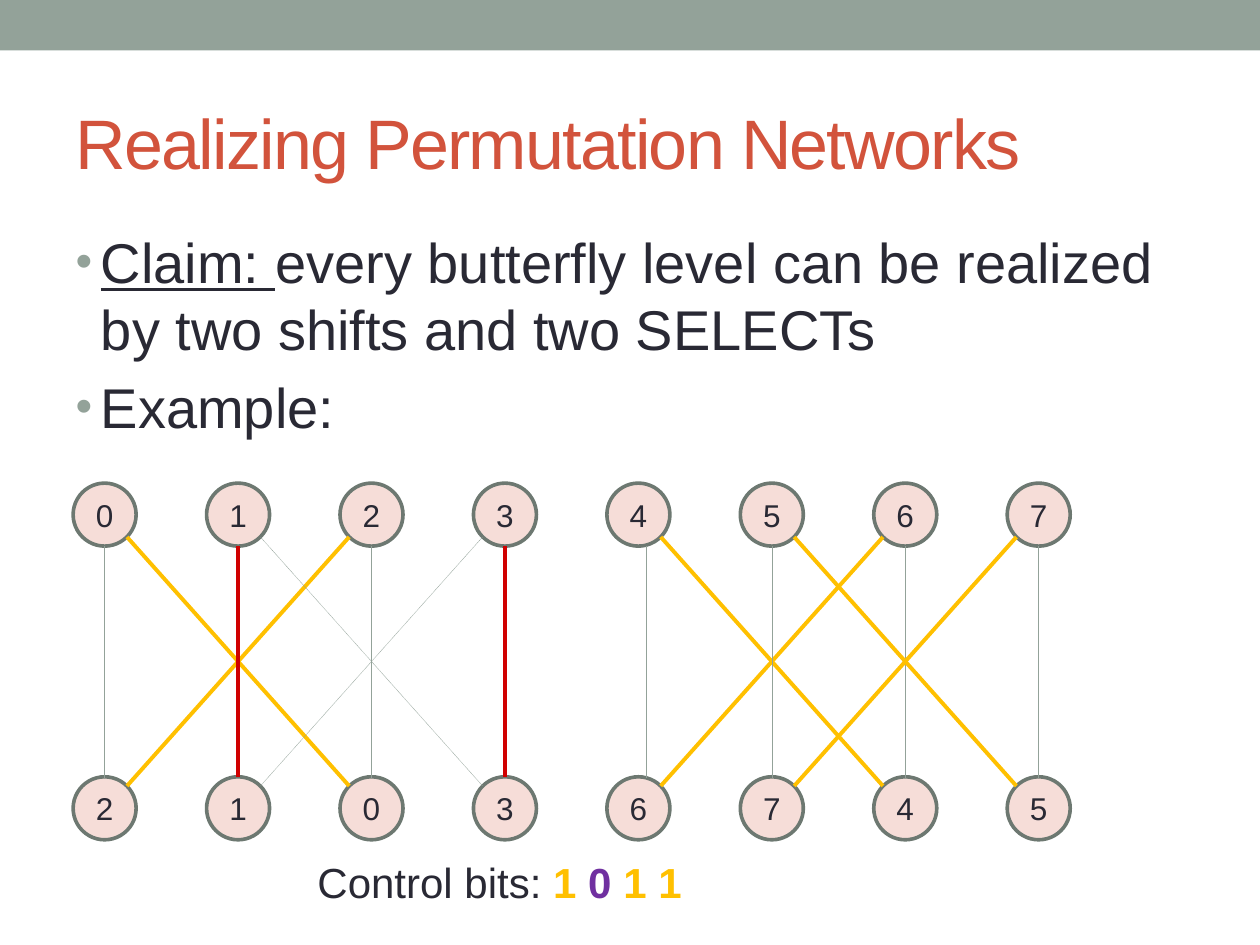
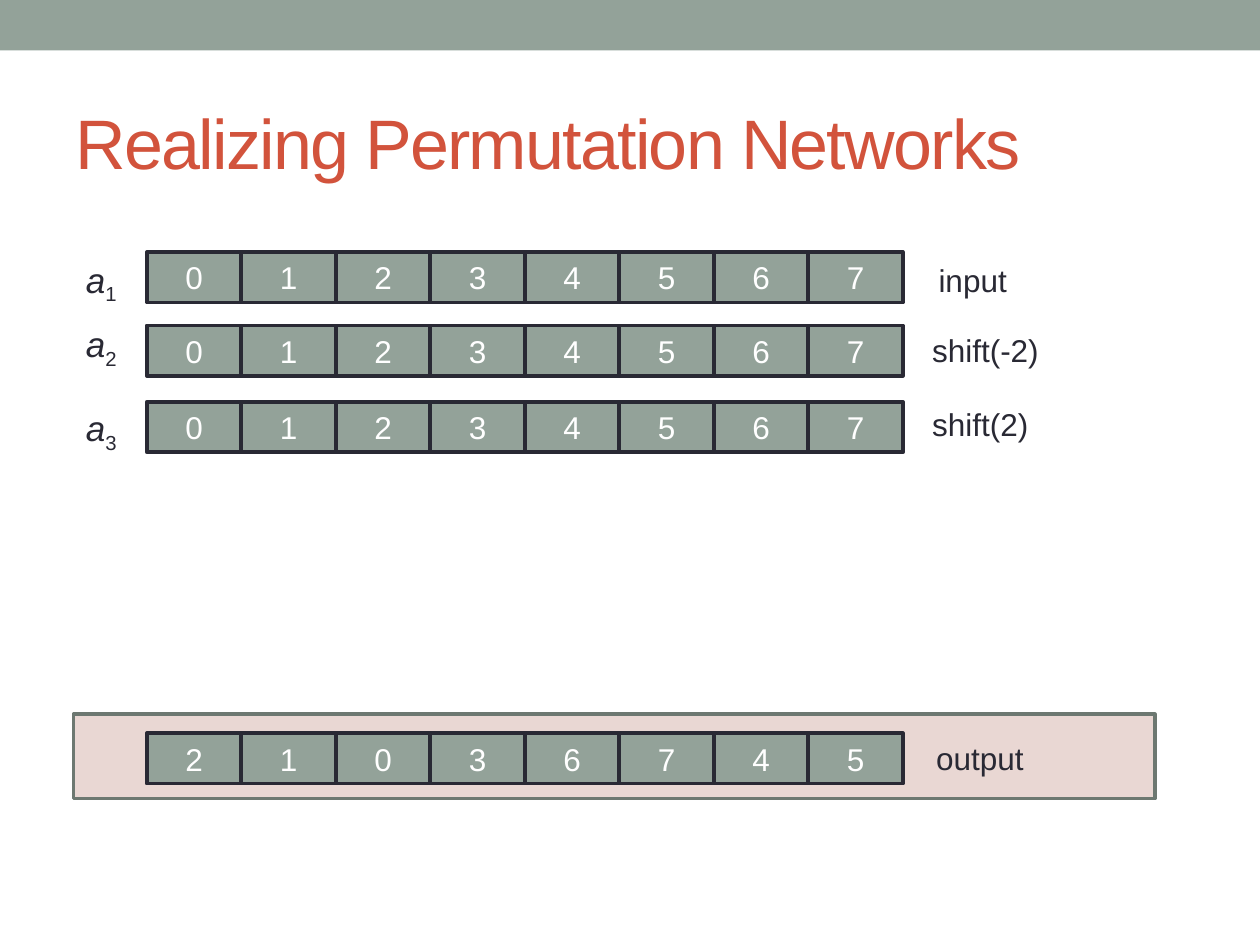
"""Build two slides on permutation networks: a butterfly level and its shift rows."""
from lxml.etree import SubElement
from pptx import Presentation
from pptx.dml.color import RGBColor
from pptx.enum.dml import MSO_LINE
from pptx.enum.shapes import MSO_CONNECTOR, MSO_SHAPE
from pptx.enum.text import MSO_ANCHOR, MSO_AUTO_SIZE, PP_ALIGN
from pptx.oxml.ns import qn
from pptx.util import Cm, Pt

SAGE, INK, RUST, WHITE = "93A299", "292934", "D2533C", "FFFFFF"
GOLD, RED, PURPLE = "FFC000", "D00000", "7030A0"
ROSE, BLUSH, SLATE = "F6DDD8", "E9D7D3", "6D7871"
EDGE = 2.08


def tint(code):
    return RGBColor.from_string(code)


def span(*sizes):
    return [Cm(size) for size in sizes]


class Deck:
    def __init__(self):
        self.file = Presentation()
        self.file.slide_width, self.file.slide_height = span(25.4, 19.05)
        self.base = {"name": "Arial", "size": Pt(18)}
        self.slide = None

    def page(self, layout, title):
        first = self.slide is None
        self.slide = self.file.slides.add_slide(self.file.slide_layouts[layout])
        if first:
            self.band()
        head = self.slide.shapes.title
        self.place(head, 1.27, 1.48, 22.86, 2.74)
        head.text_frame.vertical_anchor = MSO_ANCHOR.MIDDLE
        line = head.text_frame.paragraphs[0]
        line.alignment = PP_ALIGN.LEFT
        run = self.words(line, title, RUST, size=Pt(40))
        run.font._element.set("spc", "-100")

    def band(self):
        band = self.shape(MSO_SHAPE.RECTANGLE, (0, 0, 25.4, 1.02), SAGE)
        band._element.nvSpPr.cNvPr.set("id", "99")
        self.file.slide_master.shapes._spTree.insert(2, band._element)

    def place(self, item, *box):
        for key, size in zip(("left", "top", "width", "height"), span(*box)):
            setattr(item, key, size)
        item.text_frame.auto_size = MSO_AUTO_SIZE.NONE

    def words(self, line, text, ink=INK, **style):
        run = line.add_run()
        run.text = text
        for key, value in {**self.base, **style}.items():
            setattr(run.font, key, value)
        run.font.color.rgb = tint(ink)
        return run

    def list(self, items):
        body = self.slide.placeholders[1]
        self.place(body, 1.27, 4.45, 22.86, 13.54)
        frame = body.text_frame
        for spot, parts in enumerate(items):
            line = frame.add_paragraph() if spot else frame.paragraphs[0]
            props = line._p.get_or_add_pPr()
            props.set("marL", str(Cm(0.51)))
            props.set("indent", str(-Cm(0.51)))
            color = SubElement(props, qn("a:buClr"))
            SubElement(color, qn("a:srgbClr")).set("val", SAGE)
            SubElement(props, qn("a:buSzPct")).set("val", "85000")
            SubElement(props, qn("a:buFont")).set("typeface", "Arial")
            SubElement(props, qn("a:buChar")).set("char", "•")
            for text, style in parts:
                self.words(line, text, size=Pt(32), **style)

    def shape(self, kind, box, fill, edge=None, text="", ink=INK, home=None):
        item = (home or self.slide).shapes.add_shape(kind, *span(*box))
        item.shadow.inherit = False
        item.fill.solid()
        item.fill.fore_color.rgb = tint(fill)
        if edge:
            item.line.color.rgb = tint(edge)
            item.line.width = Pt(EDGE)
        else:
            item.line.fill.background()
        if text:
            item.text_frame.vertical_anchor = MSO_ANCHOR.MIDDLE
            line = item.text_frame.paragraphs[0]
            line.alignment = PP_ALIGN.CENTER
            self.words(line, text, ink)
        return item

    def row(self, top, digits, home=None):
        wide = 15.24 / len(digits)
        for spot, digit in enumerate(digits):
            box = (2.96 + spot * wide, top, wide, 1.02)
            self.shape(MSO_SHAPE.RECTANGLE, box, SAGE, INK, digit, WHITE, home)

    def label(self, box, *parts):
        item = self.slide.shapes.add_textbox(*span(*box))
        item.text_frame.word_wrap = False
        item.text_frame.auto_size = MSO_AUTO_SIZE.SHAPE_TO_FIT_TEXT
        line = item.text_frame.paragraphs[0]
        return [self.words(line, text, **style) for text, style in parts]

    def link(self, start, end, color):
        item = self.slide.shapes.add_connector(
            MSO_CONNECTOR.STRAIGHT, *span(*start, *end))
        item.line.color.rgb = tint(color)
        item.line.width = Pt(0.25 if color == SAGE else 2.25)
        if color == SAGE:
            item.line.dash_style = MSO_LINE.ROUND_DOT
        SubElement(item._element.spPr, qn("a:effectLst"))


def level(deck):
    size, high, low = 1.27, 9.74, 15.66
    reach = size / 2 * 0.71
    mids = [2.11 + 2.69 * spot for spot in range(8)]
    for top, digits in ((high, "01234567"), (low, "21036745")):
        for mid, digit in zip(mids, digits):
            box = (mid - size / 2, top, size, size)
            deck.shape(MSO_SHAPE.OVAL, box, ROSE, SLATE, digit)
    start, end = high + size / 2 + reach, low + size / 2 - reach
    nudge = {4: 0.15}
    for left, bit in zip((0, 1, 4, 5), (1, 0, 1, 1)):
        cross, down = (GOLD, SAGE) if bit else (SAGE, RED)
        near, far = mids[left] + reach, mids[left + 2] - reach
        deck.link((near, start), (far, end), cross)
        deck.link((far, start), (near, end), cross)
        for spot in (left, left + 2):
            mid = mids[spot] + nudge.get(spot, 0)
            deck.link((mid, high + size), (mid, low), down)


def main():
    deck = Deck()
    title = "Realizing Permutation Networks"
    deck.page(1, title)
    deck.list([
        [("Claim: ", {"underline": True}),
         ("every butterfly level can be realized by two shifts and two SELECTs", {})],
        [("Example:", {})],
    ])
    level(deck)
    big = {"size": Pt(24)}
    bold = {**big, "bold": True}
    deck.label((6.15, 17.15, 7.95, 1.27), ("Control bits: ", big),
               ("1", {**bold, "ink": GOLD}), (" 0 ", {**bold, "ink": PURPLE}),
               ("1 1", {**bold, "ink": GOLD}))

    deck.page(5, title)
    deck.shape(MSO_SHAPE.RECTANGLE, (1.48, 14.4, 21.8, 1.7), BLUSH, SLATE)
    for top, left, high, wide, text in (
            (5.13, 18.67, 5.08, 2.03, "input"),
            (6.55, 18.54, 6.56, 2.87, "shift(-2)"),
            (8.05, 18.54, 8.1, 2.62, "shift(2)")):
        deck.row(high, "01234567")
        deck.label((left, top, wide, 1.02), (text, {}))
    for mark, top in zip("123", (5.08, 6.38, 8.08)):
        runs = deck.label((1.48, top, 1.19, 1.11),
                          ("a", {"size": Pt(20), "italic": True}),
                          (mark, {"size": Pt(20)}))
        runs[1].font._element.set("baseline", "-25000")
    deck.row(14.78, "21036745", deck.slide.shapes.add_group_shape())
    deck.label((18.62, 14.78, 2.41, 1.02), ("output", {}))
    deck.file.save("out.pptx")


if __name__ == "__main__":
    main()
